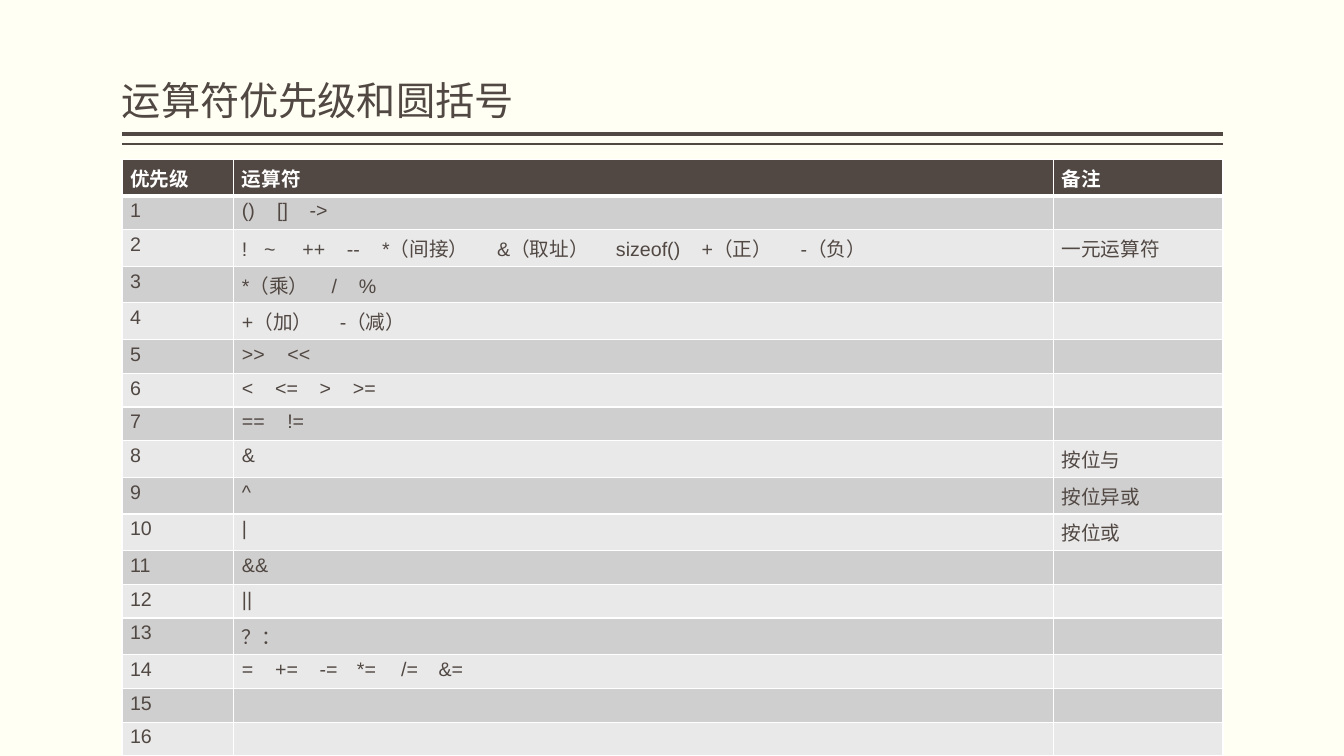
"""Build a slide with a table of operator precedence."""
from dataclasses import dataclass

from lxml.etree import SubElement
from pptx import Presentation
from pptx.dml.color import RGBColor
from pptx.enum.shapes import MSO_CONNECTOR as Connector
from pptx.enum.text import MSO_ANCHOR as Anchor, MSO_AUTO_SIZE as AutoSize, PP_ALIGN as Align
from pptx.oxml.ns import qn
from pptx.util import Inches, Pt


@dataclass(frozen=True)
class Theme:
    background: str = "FFFFF3"
    ink: str = "514843"
    white: str = "FFFFFF"
    bands: tuple = ("D0CFCF", "E9E9E9")
    latin: str = "Arial"
    chinese: str = "Noto Sans CJK SC"
    title_size: int = 28
    table_size: int = 14
    thin: int = 1
    thick: int = 3


class SlideBuilder:
    def __init__(self, presentation, theme):
        self.theme = theme
        self.slide = presentation.slides.add_slide(presentation.slide_layouts[5])
        fill = self.slide.background.fill
        fill.solid()
        fill.fore_color.rgb = RGBColor.from_string(theme.background)

    def add_run(self, paragraph, text, size, color, latin, bold=False):
        run = paragraph.add_run()
        run.text = text
        font = run.font
        font.size, font.bold, font.name = Pt(size), bold, latin
        font.color.rgb = RGBColor.from_string(color)
        SubElement(font._element, qn("a:ea"), typeface=self.theme.chinese)

    def add_title(self, text, left, top, width, height):
        title = self.slide.shapes.title
        title.left, title.top = Inches(left), Inches(top)
        title.width, title.height = Inches(width), Inches(height)
        frame = title.text_frame
        frame.auto_size, frame.word_wrap = AutoSize.NONE, True
        frame.vertical_anchor = Anchor.BOTTOM
        frame.margin_left = frame.margin_right = 0
        frame.margin_top = frame.margin_bottom = Inches(0.05)
        paragraph = frame.paragraphs[0]
        paragraph.alignment, paragraph.line_spacing = Align.LEFT, 0.9
        self.add_run(paragraph, text, self.theme.title_size, self.theme.ink, self.theme.chinese)

    def add_rule(self, left, top, width, weight):
        rule = self.slide.shapes.add_connector(
            Connector.STRAIGHT, Inches(left), Inches(top), Inches(left + width), Inches(top))
        rule.line.width = Pt(weight)
        rule.line.color.rgb = RGBColor.from_string(self.theme.ink)
        SubElement(rule._element.spPr, qn("a:effectLst"))

    def add_borders(self, cell, top, bottom):
        properties = cell._tc.get_or_add_tcPr()
        thin = self.theme.thin
        for side, weight in (("L", thin), ("R", thin), ("T", top), ("B", bottom)):
            line = SubElement(properties, qn(f"a:ln{side}"), w=str(Pt(weight)))
            fill = SubElement(line, qn("a:solidFill"))
            SubElement(fill, qn("a:srgbClr"), val=self.theme.white)

    def add_tab_stops(self, paragraph, stops):
        tab_list = SubElement(paragraph._p.get_or_add_pPr(), qn("a:tabLst"))
        for stop in stops:
            SubElement(tab_list, qn("a:tab"), pos=str(Inches(stop)), algn="l")

    def fill_cell(self, cell, row, text, stops=()):
        theme = self.theme
        header = row == 0
        self.add_borders(cell, theme.thick if row == 1 else theme.thin,
                         theme.thick if header else theme.thin)
        cell.fill.solid()
        cell.fill.fore_color.rgb = RGBColor.from_string(
            theme.ink if header else theme.bands[(row - 1) % 2])
        cell.margin_left = cell.margin_right = Inches(0.08)
        cell.margin_top = cell.margin_bottom = Inches(0.04)
        paragraph = cell.text_frame.paragraphs[0]
        if stops:
            self.add_tab_stops(paragraph, stops)
        if text:
            self.add_run(paragraph, text, theme.table_size,
                         theme.white if header else theme.ink, theme.latin, header)
        else:
            SubElement(paragraph._p, qn("a:endParaRPr"), sz=str(theme.table_size * 100))

    def add_table(self, headings, rows, left, top, widths, height):
        table = self.slide.shapes.add_table(
            len(rows) + 1, len(widths), Inches(left), Inches(top),
            Inches(sum(widths)), Inches(height)).table
        for column, width in zip(table.columns, widths):
            column.width = Inches(width)
        for index, heading in enumerate(headings):
            self.fill_cell(table.cell(0, index), 0, heading)
        for row, (operators, stops, remark) in enumerate(rows, start=1):
            self.fill_cell(table.cell(row, 0), row, str(row))
            self.fill_cell(table.cell(row, 1), row, "\t".join(operators), stops)
            self.fill_cell(table.cell(row, 2), row, remark)


LEFT, WIDTH = 1.21, 10.92
HEADINGS = ("优先级", "运算符", "备注")
OPERATOR_ROWS = [
    (["()", "[]", "->"], [0.35, 0.67], ""),
    (["!", "~", "++", "--", "*（间接）", "&（取址）", "sizeof()", "+（正）", "-（负）"],
     [0.22, 0.6, 1.04, 1.39, 2.53, 3.71, 4.56, 5.54], "一元运算符"),
    (["*（乘）", "/", "%"], [0.89, 1.16], ""),
    (["+（加）", "-（减）"], [0.97], ""),
    ([">>", "<<"], [0.45], ""),
    (["<", "<=", ">", ">="], [0.33, 0.77, 1.1], ""),
    (["==", "!="], [0.45], ""),
    (["&"], [], "按位与"),
    (["^"], [], "按位异或"),
    (["|"], [], "按位或"),
    (["&&"], [], ""),
    (["||"], [], ""),
    (["？："], [], ""),
    (["=", "+=", "-=", "*=", "/=", "&="], [0.33, 0.77, 1.14, 1.58, 1.95], ""),
    ([], [], ""),
    ([], [], ""),
]

presentation = Presentation()
presentation.slide_width, presentation.slide_height = Inches(13.33), Inches(7.5)
theme = Theme()
builder = SlideBuilder(presentation, theme)
builder.add_rule(LEFT, 1.33, WIDTH, theme.thick)
builder.add_rule(LEFT, 1.43, WIDTH, theme.thin)
builder.add_title("运算符优先级和圆括号", LEFT, 0.08, WIDTH, 1.2)
builder.add_table(HEADINGS, OPERATOR_ROWS, LEFT, 1.58, (1.11, 8.13, 1.68), 5.69)
presentation.save("out.pptx")
